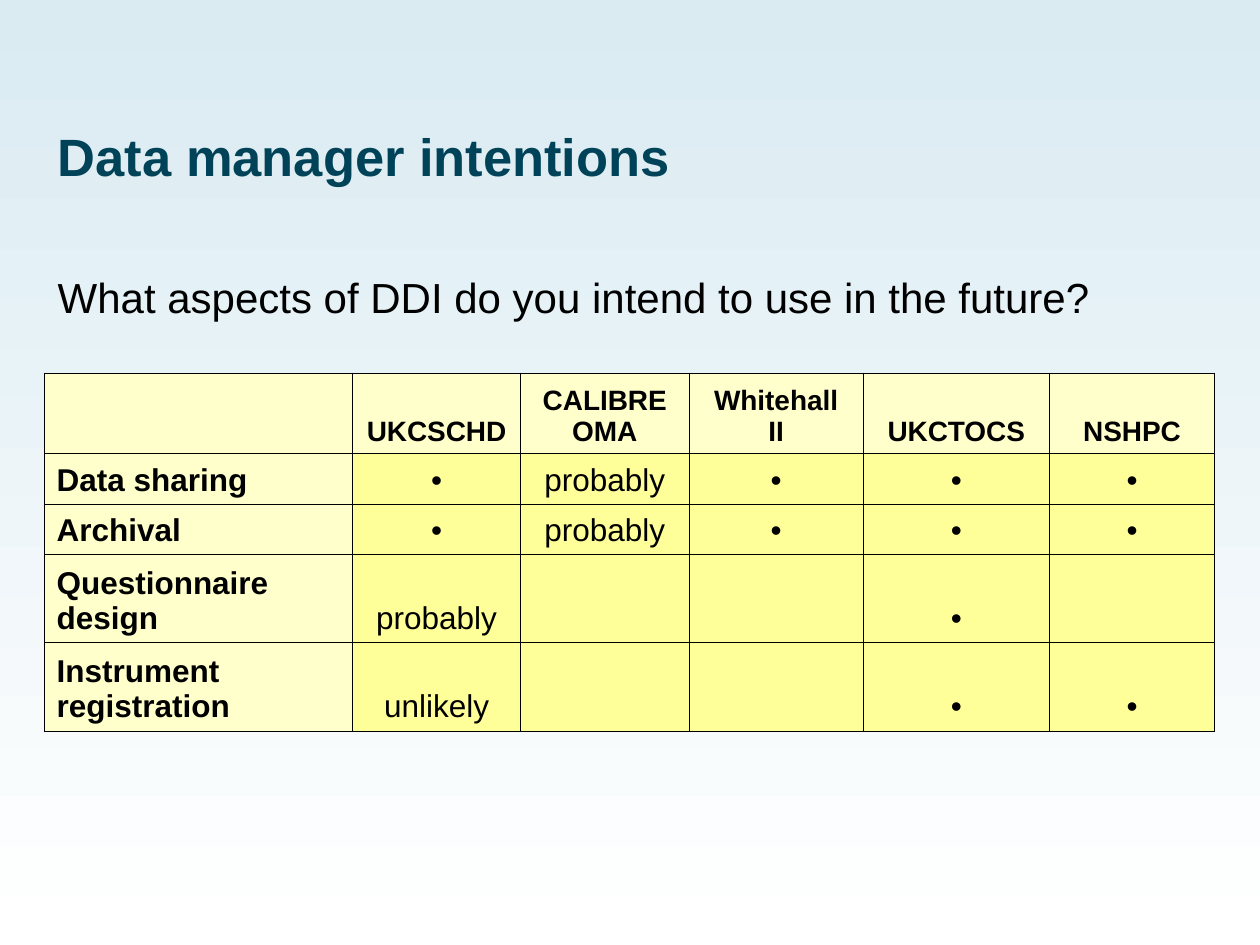
import pptx
import pptx.dml.color
import pptx.enum.text
import pptx.oxml
import pptx.oxml.ns
import pptx.util
from pptx.util import Inches

TITLE = "Data manager intentions"
QUESTION = "What aspects of DDI do you intend to use in the future?"
STUDIES = ["", "UKCSCHD", "CALIBRE\nOMA", "Whitehall\nII", "UKCTOCS", "NSHPC"]
INTENTIONS = [
    ["Data sharing", "•", "probably", "•", "•", "•"],
    ["Archival", "•", "probably", "•", "•", "•"],
    ["Questionnaire\ndesign", "probably", "", "", "•", ""],
    ["Instrument\nregistration", "unlikely", "", "", "•", "•"],
]
COLUMN_WIDTHS = [2.45, 1.33, 1.34, 1.38, 1.48, 1.31]
ROW_HEIGHTS = [0.64, 0.4, 0.4, 0.7, 0.7]
COLORS = {
    "sky": "DAEBF2",
    "white": "FFFFFF",
    "title": "004359",
    "text": "000000",
    "heading": "FFFFCC",
    "answer": "FFFF99",
}
FONT = "Arial"
ALIGN = pptx.enum.text.PP_ALIGN
ANCHOR = pptx.enum.text.MSO_ANCHOR


def rgb(name):
    return pptx.dml.color.RGBColor.from_string(COLORS[name])


def write(frame, text, size, color="text", bold=False, align=ALIGN.LEFT):
    frame.text = text
    for paragraph in frame.paragraphs:
        paragraph.alignment = align
        paragraph.font.name = FONT
        paragraph.font.size = pptx.util.Pt(size)
        paragraph.font.bold = bold
        paragraph.font.color.rgb = rgb(color)


def add_text(slide, top, height, anchor, text, size, **style):
    frame = slide.shapes.add_textbox(
        Inches(0.36), Inches(top), Inches(9.28), Inches(height)).text_frame
    frame.word_wrap = True
    frame.vertical_anchor = anchor
    write(frame, text, size, **style)
    return frame


def add_borders(cell):
    properties = cell._tc.get_or_add_tcPr()
    for position, side in enumerate(("lnL", "lnR", "lnT", "lnB")):
        border = pptx.oxml.parse_xml(
            f'<a:{side} {pptx.oxml.ns.nsdecls("a")} w="{pptx.util.Pt(0.45)}">'
            f'<a:solidFill><a:srgbClr val="{COLORS["text"]}"/></a:solidFill>'
            f'</a:{side}>')
        properties.insert(position, border)


def add_intentions(slide):
    rows = [STUDIES] + INTENTIONS
    table = slide.shapes.add_table(
        len(rows), len(STUDIES), Inches(0.35), Inches(2.96),
        Inches(sum(COLUMN_WIDTHS)), Inches(sum(ROW_HEIGHTS))).table
    for column, width in zip(table.columns, COLUMN_WIDTHS):
        column.width = Inches(width)
    for row, height in zip(table.rows, ROW_HEIGHTS):
        row.height = Inches(height)
    for r, texts in enumerate(rows):
        for c, text in enumerate(texts):
            cell = table.cell(r, c)
            heading = r == 0 or c == 0
            cell.vertical_anchor = ANCHOR.BOTTOM
            cell.fill.solid()
            cell.fill.fore_color.rgb = rgb("heading" if heading else "answer")
            add_borders(cell)
            write(cell.text_frame, text, 16 if r == 0 else 18, bold=heading,
                  align=ALIGN.LEFT if c == 0 else ALIGN.CENTER)


def main():
    deck = pptx.Presentation()
    deck.slide_width, deck.slide_height = Inches(10), Inches(7.5)
    slide = deck.slides.add_slide(deck.slide_layouts[6])

    backdrop = slide.background.fill
    backdrop.gradient()
    backdrop.gradient_angle = 270
    for stop, name in zip(backdrop.gradient_stops, ("sky", "white")):
        stop.color.rgb = rgb(name)

    add_text(slide, 0.52, 1.42, ANCHOR.MIDDLE, TITLE, 30, color="title", bold=True)
    add_intentions(slide)
    question = add_text(slide, 2.18, 4.95, ANCHOR.TOP, QUESTION, 24)
    question.paragraphs[0].line_spacing = 0.8
    deck.save("out.pptx")


if __name__ == "__main__":
    main()
